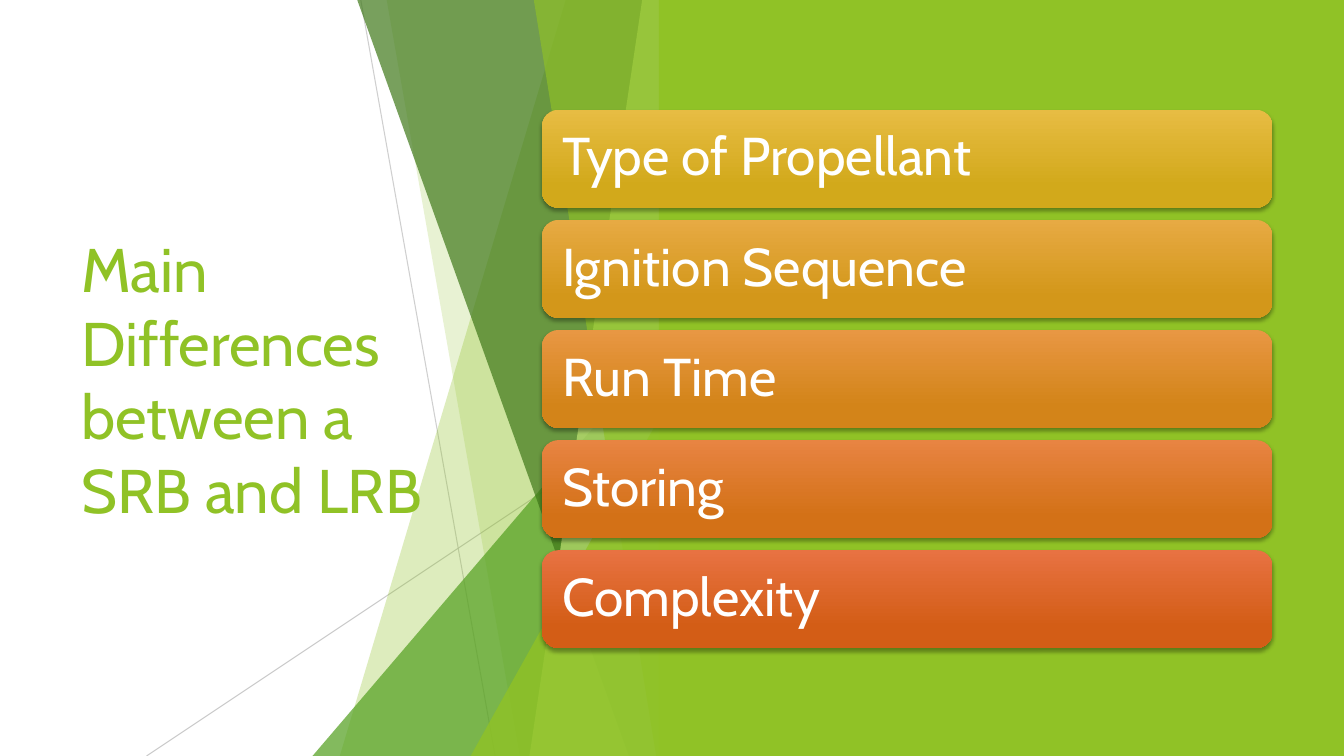
from lxml import etree
from pptx import Presentation
from pptx import util as u
from pptx.dml.color import RGBColor
from pptx.enum import shapes, text
from pptx.oxml.ns import qn

Pt = u.Pt
FONT = "Cabin"
GREEN = "90C226"
WHITE = "FFFFFF"
WIDTH, HEIGHT = 960, 540


def paint(color_format, color, opacity=100):
    """Set a hex colour, with opacity in percent."""
    color_format.rgb = RGBColor.from_string(color)
    if opacity < 100:
        holder = color_format._xFill if hasattr(color_format, "_xFill") else None
        if holder is None:
            raise ValueError("opacity needs a solid fill")
        etree.SubElement(holder.find(qn("a:srgbClr")), qn("a:alpha"), val=str(opacity * 1000))


def fill_plain(shape, color, opacity=100):
    shape.shadow.inherit = False
    shape.line.fill.background()
    shape.fill.solid()
    shape.fill.fore_color.rgb = RGBColor.from_string(color)
    set_opacity(shape.fill._xPr, opacity)


def set_opacity(parent, opacity):
    if opacity < 100:
        color = parent.find(qn("a:solidFill")).find(qn("a:srgbClr"))
        etree.SubElement(color, qn("a:alpha"), val=str(opacity * 1000))


def style_text(paragraph, size, color):
    paragraph.font.name = FONT
    paragraph.font.size = Pt(size)
    paragraph.font.color.rgb = RGBColor.from_string(color)


def add_facets(slide, right, height):
    """Translucent shards that all end at the right edge."""
    # Hairlines: start offset, start y, end offset, opacity
    for start, y, end, opacity in ((-222, 0, -126, 75), (0, 290, -375, 80)):
        hairline = slide.shapes.add_connector(
            shapes.MSO_CONNECTOR.STRAIGHT,
            Pt(right + start), Pt(y), Pt(right + end), Pt(height))
        hairline.line.width = Pt(0.75)
        hairline.line.color.rgb = RGBColor.from_string("BFBFBF")
        properties = hairline._element.spPr
        set_opacity(properties.find(qn("a:ln")), opacity)
        etree.SubElement(properties, qn("a:effectLst"))

    def shard(top, bottom, color, opacity):
        outline = slide.shapes.build_freeform(Pt(right + top), Pt(0))
        outline.add_line_segments(
            [(Pt(right + x), Pt(y)) for x, y in ((0, 0), (0, height), (bottom, height))])
        fill_plain(outline.convert_to_shape(), color, opacity)

    def corner(width, rise, color, opacity):
        triangle = slide.shapes.add_shape(
            shapes.MSO_SHAPE.ISOSCELES_TRIANGLE,
            Pt(right - width), Pt(height - rise), Pt(width), Pt(rise))
        triangle.adjustments[0] = 1
        fill_plain(triangle, color, opacity)

    shard(-75.6, -237, GREEN, 30)
    shard(-203.5, -108.5, GREEN, 20)
    corner(256.5, 300, "54A021", 72)
    shard(-224.5, -30.5, "3F7819", 70)
    shard(-21, -101.5, "C0E474", 70)
    shard(-98.4, -11, GREEN, 65)
    corner(143.5, 257, GREEN, 80)


def add_panel(slide, left, top, width, height):
    panel = slide.shapes.add_shape(
        shapes.MSO_SHAPE.RECTANGLE, Pt(left), Pt(top), Pt(width), Pt(height))
    fill_plain(panel, GREEN)


def add_title(slide, left, top, width, height):
    frame = slide.shapes.add_textbox(Pt(left), Pt(top), Pt(width), Pt(height)).text_frame
    frame.word_wrap = True
    frame.vertical_anchor = text.MSO_ANCHOR.MIDDLE
    frame.text = "Main Differences between a SRB and LRB"
    style_text(frame.paragraphs[0], 44, GREEN)


def add_differences(slide, left, top, width, height, differences):
    """Stack of equal cards filling the given box."""
    gap = 8.7
    card_height = (height - gap * (len(differences) - 1)) / len(differences)
    for row, (label, light, deep) in enumerate(differences):
        card = slide.shapes.add_shape(
            shapes.MSO_SHAPE.ROUNDED_RECTANGLE, Pt(left),
            Pt(top + row * (card_height + gap)), Pt(width), Pt(card_height))
        card.line.fill.background()

        # Vertical gradient
        card.fill.gradient()
        card.fill.gradient_angle = 270
        for stop, color, position in zip(card.fill.gradient_stops, (light, deep), (0, 0.78)):
            stop.color.rgb = RGBColor.from_string(color)
            stop.position = position

        # Soft shadow below the card
        card.shadow.inherit = False
        effects = card._element.spPr.find(qn("a:effectLst"))
        shadow = etree.SubElement(
            effects, qn("a:outerShdw"), blurRad=str(Pt(3)), dist=str(Pt(2)),
            dir="5400000", algn="ctr", rotWithShape="0")
        black = etree.SubElement(shadow, qn("a:srgbClr"), val="000000")
        etree.SubElement(black, qn("a:alpha"), val="35000")

        # Label
        frame = card.text_frame
        frame.word_wrap = True
        frame.vertical_anchor = text.MSO_ANCHOR.MIDDLE
        frame.margin_left = frame.margin_right = Pt(11)
        frame.text = label
        paragraph = frame.paragraphs[0]
        paragraph.alignment = text.PP_ALIGN.LEFT
        paragraph.line_spacing = 0.9
        style_text(paragraph, 38, WHITE)


def main():
    deck = Presentation()
    deck.slide_width, deck.slide_height = Pt(WIDTH), Pt(HEIGHT)
    slide = deck.slides.add_slide(deck.slide_layouts[6])
    add_facets(slide, 479.7, HEIGHT)
    add_panel(slide, 470.6, 0, WIDTH - 470.6, HEIGHT)
    add_title(slide, 51, 109, 279.5, 322.5)
    add_differences(slide, 387.2, 78.4, 521.8, 384.5, (
        ("Type of Propellant", "E7BC43", "D2A91B"),
        ("Ignition Sequence", "E7AA43", "D3971A"),
        ("Run Time", "E89743", "D38419"),
        ("Storing", "E88442", "D37117"),
        ("Complexity", "E87242", "D35D16"),
    ))
    deck.save("out.pptx")


if __name__ == "__main__":
    main()
